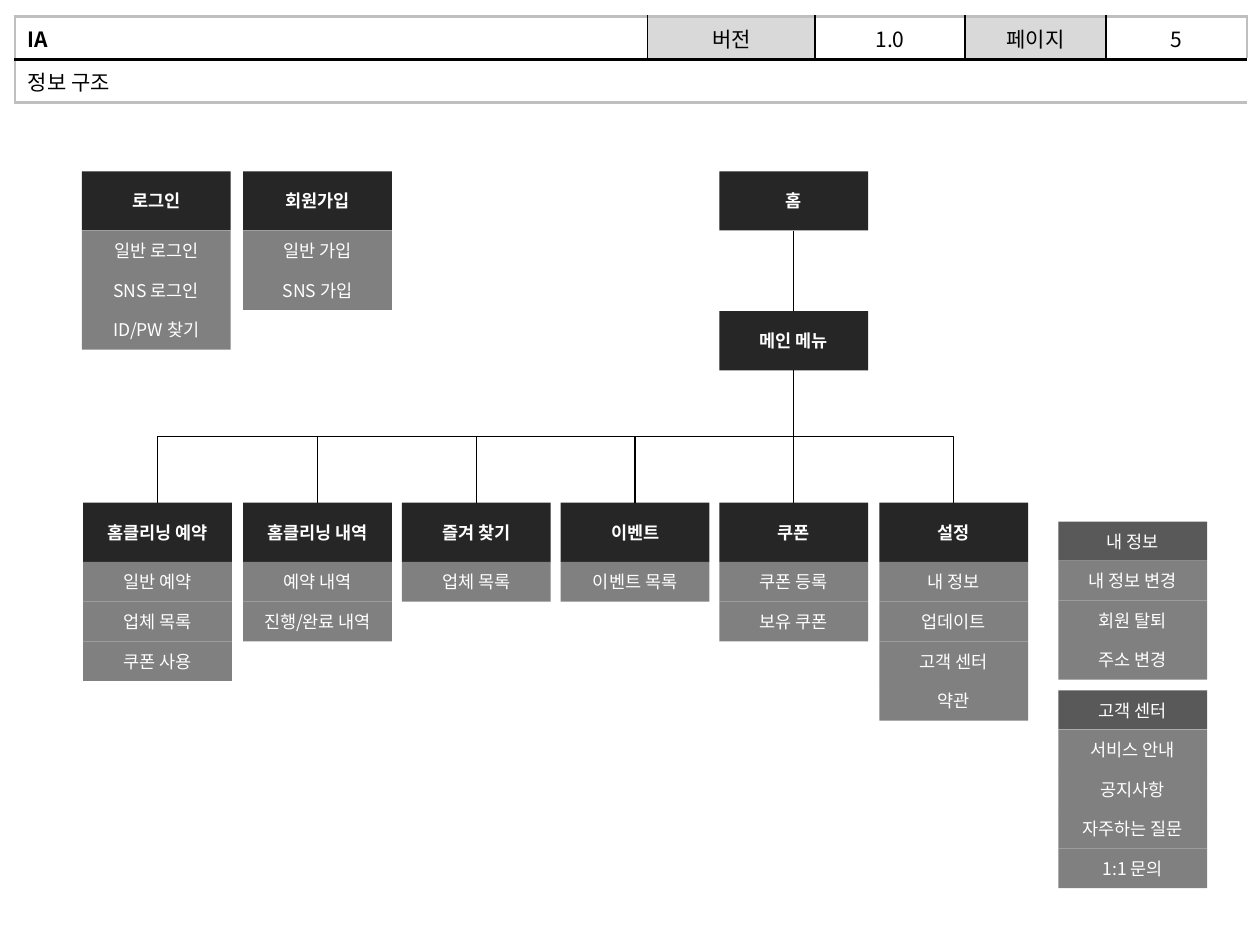
import pptx
import pptx.util
import pptx.dml.color
import pptx.enum.shapes
import pptx.enum.text
import pptx.oxml
import pptx.oxml.ns
from lxml import etree

Inches = pptx.util.Inches
Pt = pptx.util.Pt
CENTER = pptx.enum.text.PP_ALIGN.CENTER
MIDDLE = pptx.enum.text.MSO_ANCHOR.MIDDLE
CONNECTOR = pptx.enum.shapes.MSO_CONNECTOR
qn = pptx.oxml.ns.qn
FONT = "Noto Sans CJK KR"


def color(value):
    return pptx.dml.color.RGBColor.from_string(value)


def write(frame, text, size, ink, bold=False, align=CENTER):
    frame.text = text
    paragraph = frame.paragraphs[0]
    paragraph.alignment = align
    font = paragraph.runs[0].font
    font.size, font.bold, font.name = Pt(size), bold, FONT
    font.color.rgb = color(ink)
    # Hangul takes the East Asian typeface
    latin = paragraph.runs[0]._r.rPr.find(qn("a:latin"))
    east_asian = etree.Element(qn("a:ea"), typeface=FONT)
    latin.addnext(east_asian)


deck = pptx.Presentation()
deck.slide_width, deck.slide_height = Inches(10), Inches(7.5)
slide = deck.slides.add_slide(deck.slide_layouts[6])

# Page header table
header = slide.shapes.add_table(2, 5, Inches(0.12), Inches(0.13),
                                Inches(9.78), Inches(0.69)).table
header.first_row = header.horz_banding = False
for column, width in zip(header.columns, (5.02, 1.33, 1.19, 1.12, 1.12)):
    column.width = Inches(width)
for row in header.rows:
    row.height = Inches(0.34)
header.cell(1, 0).merge(header.cell(1, 4))

for c, label in enumerate(("IA", "버전", "1.0", "페이지", "5")):
    write(header.cell(0, c).text_frame, label, 12, "000000",
          bold=c == 0, align=CENTER if c else pptx.enum.text.PP_ALIGN.LEFT)
write(header.cell(1, 0).text_frame, "정보 구조", 12, "000000",
      align=pptx.enum.text.PP_ALIGN.LEFT)

# Header fills, grey outer frame and black inner rules
for r in range(2):
    for c in range(5):
        cell = header.cell(r, c)
        cell.fill.solid()
        cell.fill.fore_color.rgb = color("D9D9D9" if r == 0 and c in (1, 3) else "FFFFFF")
        edges = {"lnL": c == 0, "lnR": c == 4, "lnT": r == 0, "lnB": r == 1}
        for position, (edge, outer) in enumerate(edges.items()):
            if r == 1 and not outer and edge in ("lnL", "lnR"):
                continue
            thick = outer or edge in ("lnT", "lnB")
            border = etree.Element(qn("a:" + edge), w=str(Pt(1.5 if thick else 1)))
            fill = etree.SubElement(border, qn("a:solidFill"))
            etree.SubElement(fill, qn("a:srgbClr"), val="BFBFBF" if outer else "000000")
            properties = cell._tc.get_or_add_tcPr()
            properties.insert(len(properties) - 1, border)

# Menu groups: left, top, head height, head fill, head, items
DARK, MEDIUM, LIGHT = "262626", "595959", "808080"
groups = [
    (0.65, 1.36, 0.47, DARK, "로그인", ["일반 로그인", "SNS 로그인", "ID/PW 찾기"]),
    (1.93, 1.36, 0.47, DARK, "회원가입", ["일반 가입", "SNS 가입"]),
    (5.71, 1.36, 0.47, DARK, "홈", []),
    (5.71, 2.47, 0.47, DARK, "메인 메뉴", []),
    (0.66, 3.99, 0.47, DARK, "홈클리닝 예약", ["일반 예약", "업체 목록", "쿠폰 사용"]),
    (1.93, 3.99, 0.47, DARK, "홈클리닝 내역", ["예약 내역", "진행/완료 내역"]),
    (3.19, 3.99, 0.47, DARK, "즐겨 찾기", ["업체 목록"]),
    (4.45, 3.99, 0.47, DARK, "이벤트", ["이벤트 목록"]),
    (5.71, 3.99, 0.47, DARK, "쿠폰", ["쿠폰 등록", "보유 쿠폰"]),
    (6.98, 3.99, 0.47, DARK, "설정", ["내 정보", "업데이트", "고객 센터", "약관"]),
    (8.4, 4.14, 0.31, MEDIUM, "내 정보", ["내 정보 변경", "회원 탈퇴", "주소 변경"]),
    (8.4, 5.48, 0.31, MEDIUM, "고객 센터",
     ["서비스 안내", "공지사항", "자주하는 질문", "1:1 문의"]),
]
item_pitch = Inches(0.63) // 2
for left, top, head_height, head_fill, head, items in groups:
    y = Inches(top)
    for i, label in enumerate([head] + items):
        height = item_pitch if i else Inches(head_height)
        box = slide.shapes.add_shape(pptx.enum.shapes.MSO_SHAPE.RECTANGLE,
                                     Inches(left), y, Inches(1.18), height)
        box.shadow.inherit = False
        box.fill.solid()
        box.fill.fore_color.rgb = color(LIGHT if i else head_fill)
        box.line.fill.background()
        box.text_frame.word_wrap = True
        box.text_frame.vertical_anchor = MIDDLE
        write(box.text_frame, label, 10, "FFFFFF", bold=i == 0 and head_fill == DARK)
        y += height

# Trunk from home to the main menu and straight down to the coupon menu
trunk_x, menu_bottom, branch_top = 6.3, 2.94, 3.99
links = [slide.shapes.add_connector(CONNECTOR.STRAIGHT, Inches(trunk_x), Inches(y1),
                                    Inches(trunk_x), Inches(y2))
         for y1, y2 in ((1.83, 2.47), (menu_bottom, branch_top))]

# Elbows are laid out sideways, then turned so that they leave vertically
drop = branch_top - menu_bottom
middle_y = (branch_top + menu_bottom) / 2
for branch_x in (1.25, 2.52, 3.78, 5.04, 7.57):
    middle_x = (branch_x + trunk_x) / 2
    reach = abs(trunk_x - branch_x)
    on_left = branch_x < trunk_x
    side = drop / 2 if on_left else -drop / 2
    elbow = slide.shapes.add_connector(
        CONNECTOR.ELBOW, Inches(middle_x + side), Inches(middle_y + reach / 2),
        Inches(middle_x - side), Inches(middle_y - reach / 2))
    elbow.rotation = 90 if on_left else 270
    links.append(elbow)

for link in links:
    link.line.color.rgb = color("000000")
    link.line.width = Pt(0.75)
    etree.SubElement(link._element.spPr, qn("a:effectLst"))

deck.save("out.pptx")
